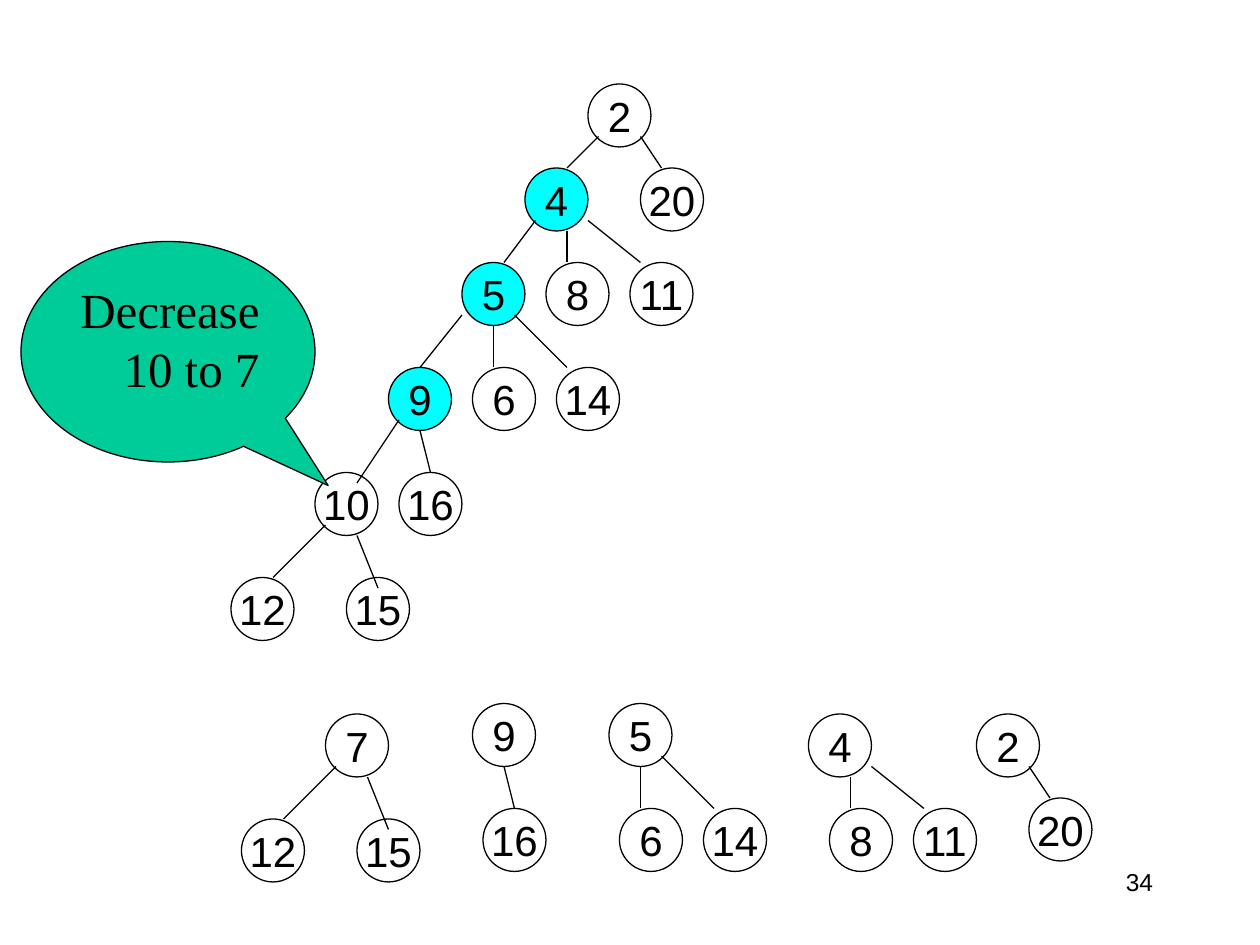
from lxml.etree import SubElement
from pptx import Presentation
from pptx.dml.color import RGBColor
from pptx.enum.shapes import MSO_CONNECTOR, MSO_SHAPE
from pptx.enum.text import MSO_ANCHOR, PP_ALIGN
from pptx.oxml.ns import qn
from pptx.util import Pt

GRID, NODE = 6, 6
BLACK, CYAN, GREEN = "000000", "00FFFF", "00CC99"

TREES = [
    {"root": ("2", 56, 8), "fill": None, "kids": [("20", 61, 16)],
     "edges": [(61, 13, 63, 16)], "cut": (57, 13, 54, 16)},
    {"root": ("4", 50, 16), "fill": CYAN, "kids": [("8", 52, 25), ("11", 60, 25)],
     "edges": [(54, 22, 54, 25), (56, 21, 61, 25)], "cut": (51, 21, 48, 25)},
    {"root": ("5", 44, 25), "fill": CYAN, "kids": [("6", 45, 35), ("14", 53, 35)],
     "edges": [(47, 31, 47, 35), (49, 30, 54, 35)], "cut": (44, 30, 40, 35)},
    {"root": ("9", 37, 35), "fill": CYAN, "kids": [("16", 38, 45)],
     "edges": [(40, 41, 41, 45)], "cut": (38, 40, 34, 46)},
    {"root": ("10", 30, 45), "fill": None, "kids": [("12", 22, 55), ("15", 33, 55)],
     "edges": [(34, 51, 36, 56), (31, 50, 26, 55)], "cut": None},
]
FOREST_SHIFTS = [(37, 60), (27, 52), (14, 42), (8, 32), (1, 23)]
DECREASED = "7"
CALLOUT = ("Decrease 10 to 7", (2, 23, 28, 21), (0.545, 0.607))
PAGE = ("34", (86, 82, 25, 6))


def color(value):
    return RGBColor.from_string(value)


def grid(*values):
    return [Pt(v * GRID) for v in values]


def write(sp, text, size, align, **frame):
    tf = sp.text_frame
    for name, value in frame.items():
        setattr(tf, name, value)
    p = tf.paragraphs[0]
    p.alignment = align
    p._p.get_or_add_pPr().set("rtl", "1")
    r = p.add_run()
    r.text = text
    for name, value in {"size": Pt(size), "name": "Times New Roman"}.items():
        setattr(r.font, name, value)
    r.font.color.rgb = color(BLACK)
    SubElement(r._r.get_or_add_rPr(), qn("a:cs")).set("typeface", "Arial")


def outline(shapes, kind, box, fill=None):
    sp = shapes.add_shape(kind, *grid(*box))
    sp.shadow.inherit = False
    if fill:
        sp.fill.solid()
        sp.fill.fore_color.rgb = color(fill)
    else:
        sp.fill.background()
    sp.line.color.rgb = color(BLACK)
    sp.line.width = Pt(0.75)
    return sp


def node(shapes, label, x, y, fill=None):
    sp = outline(shapes, MSO_SHAPE.OVAL, (x, y, NODE, NODE), fill)
    write(sp, label, 24, PP_ALIGN.CENTER,
          word_wrap=False, vertical_anchor=MSO_ANCHOR.MIDDLE)


def edge(shapes, x1, y1, x2, y2):
    line = shapes.add_connector(MSO_CONNECTOR.STRAIGHT, *grid(x1, y1, x2, y2))
    line.line.color.rgb = color(BLACK)
    line.line.width = Pt(0.75)
    SubElement(line._element.spPr, qn("a:effectLst"))


def draw_tree(shapes, tree, label, fill=None, dx=0, dy=0):
    x, y = tree["root"][1:]
    node(shapes, label, x + dx, y + dy, fill)
    for kid, x, y in tree["kids"]:
        node(shapes, kid, x + dx, y + dy)
    for x1, y1, x2, y2 in tree["edges"]:
        edge(shapes, x1 + dx, y1 + dy, x2 + dx, y2 + dy)


def main():
    """Build the decrease-key slide: the marked heap above the trees cut from it."""
    prs = Presentation()
    prs.slide_width, prs.slide_height = Pt(720), Pt(540)
    s = prs.slides.add_slide(prs.slide_layouts[6])

    text, box = PAGE
    write(s.shapes.add_textbox(*grid(*box)), text, 14, PP_ALIGN.RIGHT, word_wrap=True)

    for tree in TREES:
        draw_tree(s.shapes, tree, tree["root"][0], tree["fill"])
        if tree["cut"]:
            edge(s.shapes, *tree["cut"])

    for tree, (dx, dy) in reversed(list(zip(TREES, FOREST_SHIFTS))):
        label = tree["root"][0] if tree["cut"] else DECREASED
        draw_tree(s.shapes.add_group_shape().shapes, tree, label, dx=dx, dy=dy)

    text, box, tip = CALLOUT
    sp = outline(s.shapes, MSO_SHAPE.OVAL_CALLOUT, box, GREEN)
    for i, value in enumerate(tip):
        sp.adjustments[i] = value
    write(sp, text, 28, PP_ALIGN.RIGHT, word_wrap=True, vertical_anchor=MSO_ANCHOR.TOP)

    prs.save("out.pptx")


if __name__ == "__main__":
    main()
